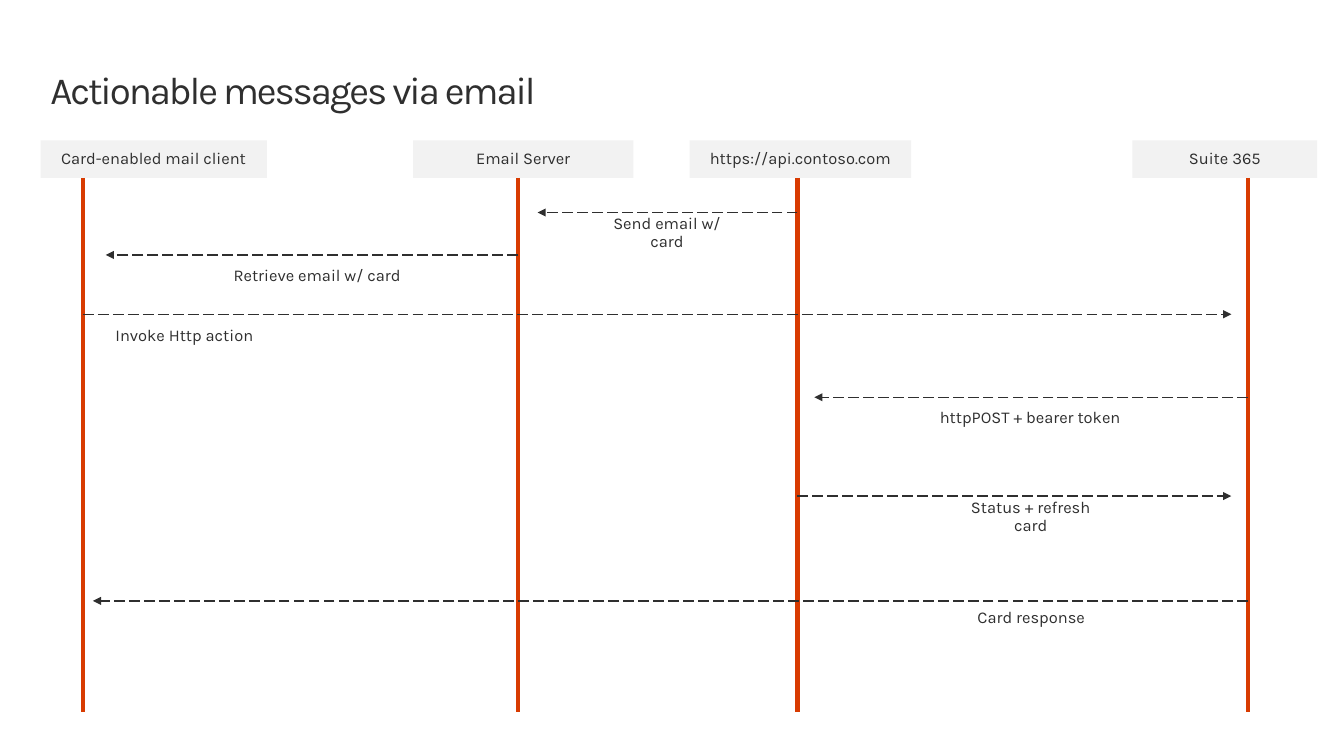
from dataclasses import dataclass

from lxml import etree
from pptx import Presentation
from pptx.dml.color import RGBColor
from pptx.enum import dml, shapes, text
from pptx.oxml import ns
from pptx.util import Inches, Pt


@dataclass(frozen=True)
class Theme:
    font: str = "Karla"
    ink: RGBColor = RGBColor(0x2F, 0x2F, 0x2F)
    header_fill: RGBColor = RGBColor(0xF2, 0xF2, 0xF2)
    lifeline: RGBColor = RGBColor(0xD8, 0x3B, 0x01)
    title_size: int = 28
    label_size: int = 12
    lifeline_width: float = 3
    message_width: float = 1


@dataclass(frozen=True)
class Box:
    left: float
    top: float
    width: float
    height: float

    def inches(self):
        return [Inches(v) for v in (self.left, self.top, self.width, self.height)]


@dataclass(frozen=True)
class Actor:
    name: str
    header_x: float
    header_width: float
    lifeline_x: float


@dataclass(frozen=True)
class Message:
    label: str
    sender: str
    receiver: str
    y: float
    gap: float  # space between arrowhead and receiving lifeline
    label_x: float
    label_width: float
    label_drop: float = 0.02
    align: text.PP_ALIGN = text.PP_ALIGN.CENTER


THEME = Theme()
HEADER_HEIGHT = 0.38
LABEL_HEIGHT = 0.38

# Positions are measured from the top left corner of the diagram
ACTORS = {
    "client": Actor("Card-enabled mail client", 0, 2.29, 0.43),
    "server": Actor("Email Server", 3.77, 2.23, 4.83),
    "api": Actor("https://api.contoso.com", 6.57, 2.24, 7.66),
    "cloud": Actor("Suite 365", 11.05, 1.87, 12.22),
}
MESSAGES = [
    Message("Send email w/ card", "api", "server", 0.73, 0.2, 5.54, 1.6),
    Message("Retrieve email w/ card", "server", "client", 1.16, 0.23, 1.8, 2),
    Message("Invoke Http action", "client", "cloud", 1.76, 0.17, 0.66, 1.7,
            0.03, text.PP_ALIGN.LEFT),
    Message("httpPOST + bearer token", "cloud", "api", 2.6, 0.17, 8.91, 2.21),
    Message("Status + refresh card", "api", "cloud", 3.6, 0.17, 9.17, 1.7),
    Message("Card response", "cloud", "client", 4.66, 0.1, 9.33, 1.39, -0.01),
]


def write(frame, words, size, inset_x, inset_y, anchor, align, spacing):
    frame.word_wrap = True
    frame.vertical_anchor = anchor
    frame.margin_left = frame.margin_right = Inches(inset_x)
    frame.margin_top = frame.margin_bottom = Inches(inset_y)
    paragraph = frame.paragraphs[0]
    paragraph.alignment = align
    paragraph.line_spacing = spacing
    paragraph.space_before = Pt(0)
    run = paragraph.add_run()
    run.text = words
    run.font.name = THEME.font
    run.font.size = Pt(size)
    run.font.color.rgb = THEME.ink
    return run


def add_line(slide, start, end, color, width):
    line = slide.shapes.add_connector(
        shapes.MSO_CONNECTOR.STRAIGHT, *[Inches(v) for v in (*start, *end)])
    line.line.color.rgb = color
    line.line.width = Pt(width)
    etree.SubElement(line._element.spPr, ns.qn("a:effectLst"))
    return line


def add_title(slide, box, words):
    title = slide.shapes.title
    title.left, title.top, title.width, title.height = box.inches()
    run = write(title.text_frame, words, THEME.title_size, 0, 0,
                text.MSO_ANCHOR.TOP, text.PP_ALIGN.LEFT, Pt(32))
    title.text_frame.auto_size = text.MSO_AUTO_SIZE.NONE
    run._r.get_or_add_rPr().set("spc", "-150")


def add_actor(slide, box, actor):
    # Header
    header_box = Box(box.left + actor.header_x, box.top, actor.header_width, HEADER_HEIGHT)
    header = slide.shapes.add_shape(shapes.MSO_SHAPE.RECTANGLE, *header_box.inches())
    header.shadow.inherit = False
    header.fill.solid()
    header.fill.fore_color.rgb = THEME.header_fill
    header.line.fill.background()
    write(header.text_frame, actor.name, THEME.label_size, 0.2, 0.16,
          text.MSO_ANCHOR.MIDDLE, text.PP_ALIGN.CENTER, 0.9)

    # Lifeline
    x = box.left + actor.lifeline_x
    add_line(slide, (x, box.top + HEADER_HEIGHT), (x, box.top + box.height),
             THEME.lifeline, THEME.lifeline_width)


def add_message(slide, box, message):
    # Arrow, stopping short of the receiver
    start = ACTORS[message.sender].lifeline_x
    end = ACTORS[message.receiver].lifeline_x
    end += message.gap if end < start else -message.gap
    y = box.top + message.y
    arrow = add_line(slide, (box.left + start, y), (box.left + end, y),
                     THEME.ink, THEME.message_width)
    arrow.line.dash_style = dml.MSO_LINE.LONG_DASH
    etree.SubElement(arrow.line._get_or_add_ln(), ns.qn("a:tailEnd"), type="triangle")

    # Label
    label_box = Box(box.left + message.label_x, y + message.label_drop,
                    message.label_width, LABEL_HEIGHT)
    label = slide.shapes.add_textbox(*label_box.inches())
    write(label.text_frame, message.label, THEME.label_size, 0.1, 0.1,
          text.MSO_ANCHOR.MIDDLE, message.align, 0.9)


def add_sequence_diagram(slide, box):
    for actor in ACTORS.values():
        add_actor(slide, box, actor)
    for message in MESSAGES:
        add_message(slide, box, message)


def main():
    deck = Presentation()
    deck.slide_width, deck.slide_height = Inches(13.6), Inches(7.65)
    slide = deck.slides.add_slide(deck.slide_layouts[5])
    add_title(slide, Box(0.51, 0.69, 12.61, 0.45), "Actionable messages via email")
    add_sequence_diagram(slide, Box(0.41, 1.42, 12.92, 5.78))
    deck.save("out.pptx")


if __name__ == "__main__":
    main()
